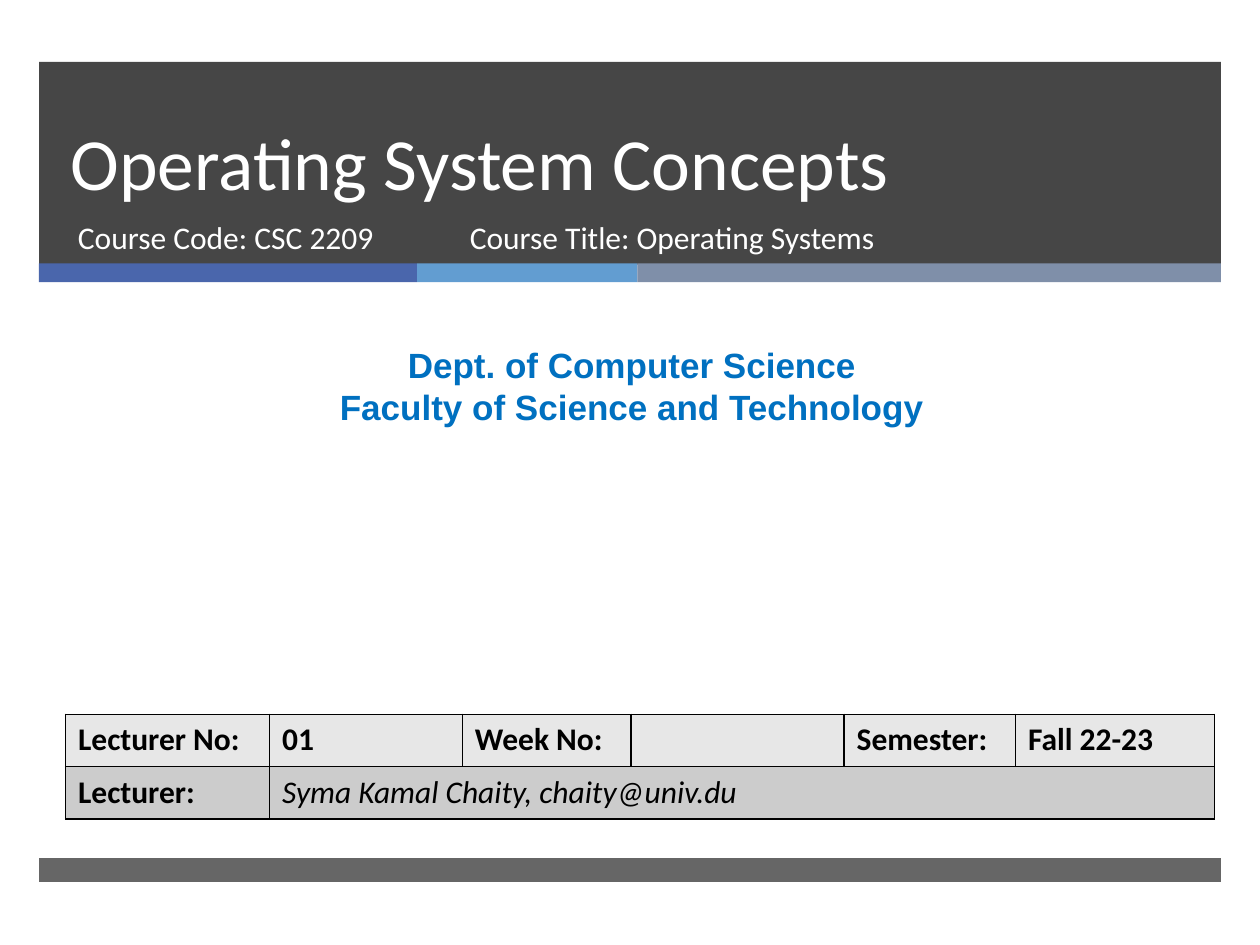
from itertools import accumulate

from lxml.etree import SubElement
from pptx import Presentation
from pptx.dml.color import RGBColor
from pptx.enum.shapes import MSO_SHAPE
from pptx.enum.text import MSO_ANCHOR, PP_ALIGN
from pptx.oxml import parse_xml
from pptx.oxml.ns import nsdecls, qn
from pptx.util import Inches, Pt

WHITE = RGBColor(0xFF, 0xFF, 0xFF)
BLACK = RGBColor(0x00, 0x00, 0x00)
DARK = RGBColor(0x26, 0x26, 0x26)
INDIGO = RGBColor(0x4A, 0x66, 0xAC)
SKY = RGBColor(0x62, 0x9D, 0xD1)
SLATE = RGBColor(0x7F, 0x8F, 0xA9)
BLUE = RGBColor(0x00, 0x70, 0xC0)
PALE = RGBColor(0xE7, 0xE7, 0xE7)
GREY = RGBColor(0xCC, 0xCC, 0xCC)

COLS, ROWS = 100, 75  # grid over the slide
LEFT, WIDE = 3.1, 93.8  # the bands, in grid columns


class Deck:
    """Holds the grid, the body font and the current slide."""

    font = "Calibri"
    size = 18

    def __init__(self):
        self.prs = Presentation()
        self.prs.slide_width, self.prs.slide_height = Inches(10), Inches(7.5)
        self.slide = self.prs.slides.add_slide(self.prs.slide_layouts[5])
        self.shapes = self.slide.shapes

    def x(self, cols):
        return round(self.prs.slide_width * cols / COLS)

    def y(self, rows):
        return round(self.prs.slide_height * rows / ROWS)

    def box(self, left, top, width, height):
        return self.x(left), self.y(top), self.x(width), self.y(height)

    def style(self, frame, color, size=None, font=None, bold=False,
              italic=False, align=PP_ALIGN.LEFT):
        for para in frame.paragraphs:
            para.alignment = align
            for run in para.runs:
                face = run.font
                face.name, face.size = font or self.font, Pt(size or self.size)
                face.bold, face.italic = bold, italic
                face.color.rgb = color

    def band(self, place, color, alpha=100):
        """Add a plain bar; alpha is its opacity in percent."""
        bar = self.shapes.add_shape(MSO_SHAPE.RECTANGLE, *self.box(*place))
        bar.shadow.inherit = False
        bar.fill.solid()
        bar.fill.fore_color.rgb = color
        bar.line.fill.background()
        if alpha < 100:
            tone = bar.element.spPr.find(qn("a:solidFill"))[0]
            SubElement(tone, qn("a:alpha"), val=str(alpha * 1000))

    def title(self, place, text, size, lead):
        head = self.shapes.title
        head.left, head.top, head.width, head.height = self.box(*place)
        frame = head.text_frame
        frame.text = text
        frame.vertical_anchor = MSO_ANCHOR.BOTTOM
        frame.paragraphs[0].line_spacing = Pt(lead)
        self.style(frame, WHITE, size)
        self.shapes.element.append(head.element)  # in front of the bands

    def text(self, place, text, color, **look):
        frame = self.shapes.add_textbox(*self.box(*place)).text_frame
        frame.word_wrap = True
        frame.text = text
        self.style(frame, color, **look)

    def edge(self, cell):
        """Draw a thin black line on all four sides of a cell."""
        props = cell._tc.get_or_add_tcPr()
        for spot, side in enumerate("LRTB"):
            props.insert(spot, parse_xml(
                f'<a:ln{side} {nsdecls("a")} w="{Pt(1)}"><a:solidFill>'
                f'<a:srgbClr val="{BLACK}"/></a:solidFill></a:ln{side}>'))

    def table(self, left, top, widths, height, rows, fills):
        """Add a table whose short rows stretch their last cell."""
        place = self.box(left, top, sum(widths), height * len(rows))
        grid = self.shapes.add_table(len(rows), len(widths), *place).table
        for col, width in zip(grid.columns, widths):
            col.width = self.x(width)
        for r, (words, fill) in enumerate(zip(rows, fills)):
            grid.rows[r].height = self.y(height)
            for c in range(len(widths)):
                cell = grid.cell(r, c)
                cell.fill.solid()
                cell.fill.fore_color.rgb = fill
                self.edge(cell)
            short = len(words) < len(widths)
            if short:
                grid.cell(r, len(words) - 1).merge(grid.cell(r, len(widths) - 1))
            for c, word in enumerate(words):
                lean = short and c == len(words) - 1
                frame = grid.cell(r, c).text_frame
                frame.text = word
                self.style(frame, BLACK, bold=not lean, italic=lean)


def main():
    deck = Deck()
    deck.band((LEFT, 4.9, WIDE, 16.1), DARK, 85)
    parts = [30, 17.5, 46.3]
    starts = accumulate(parts, initial=LEFT)
    for start, width, color in zip(starts, parts, (INDIGO, SKY, SLATE)):
        deck.band((start, 20.9, width, 1.5), color)
    deck.band((LEFT, 68.1, WIDE, 1.9), DARK, 70)

    deck.title((4.6, 4.9, 85.4, 11.9), "Operating System Concepts", 42, 46)
    deck.text((5.2, 16.8, 30.5, 5.3), "Course Code: CSC 2209", WHITE)
    deck.text((36.3, 16.8, 45.5, 5.3), "Course Title: Operating Systems", WHITE)
    deck.text((0.8, 26.8, 98.7, 7.7),
              "Dept. of Computer Science\nFaculty of Science and Technology",
              BLUE, size=20, font="Arial", bold=True, align=PP_ALIGN.CENTER)
    deck.table(5.2, 56.7, [16.2, 15.3, 13.4, 16.9, 13.6, 15.8], 4.15, [
        ["Lecturer No:", "01", "Week No:", "", "Semester:", "Fall 22-23"],
        ["Lecturer:", "Syma Kamal Chaity, chaity@univ.du"],
    ], [PALE, GREY])
    deck.prs.save("out.pptx")


if __name__ == "__main__":
    main()
